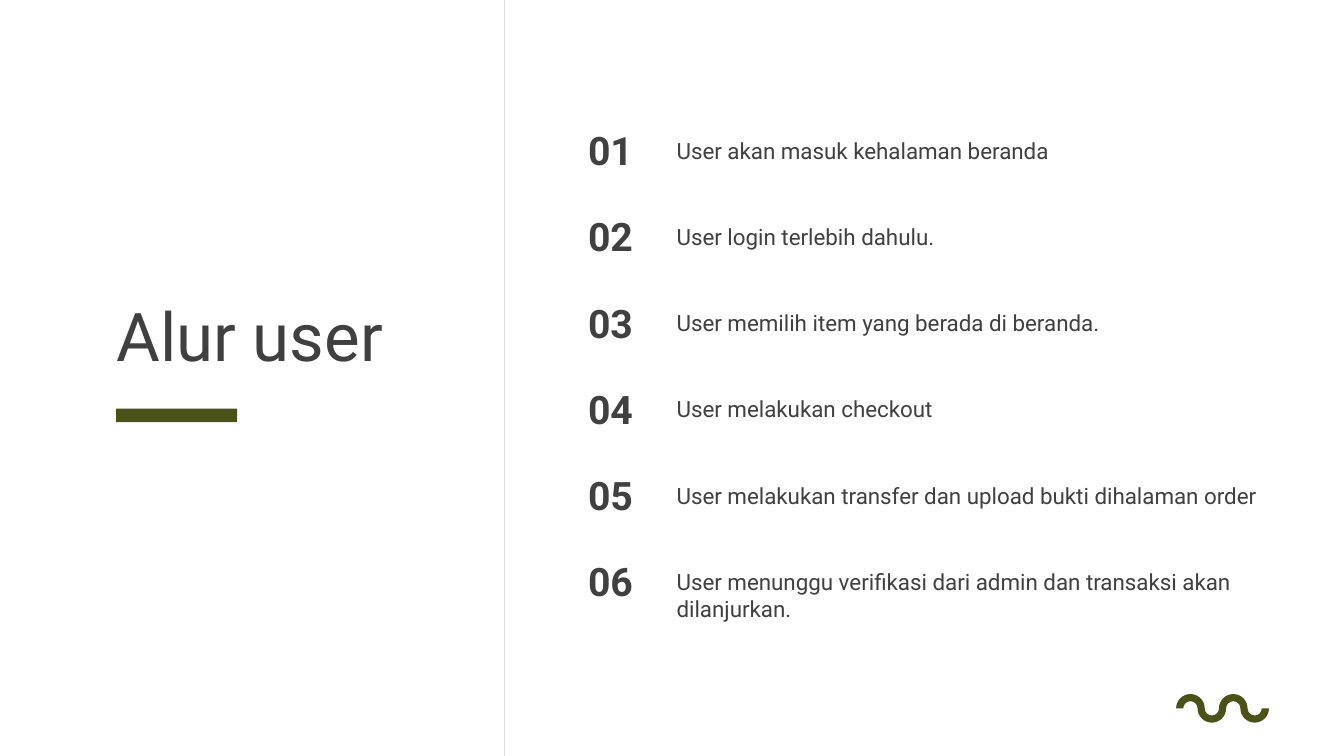
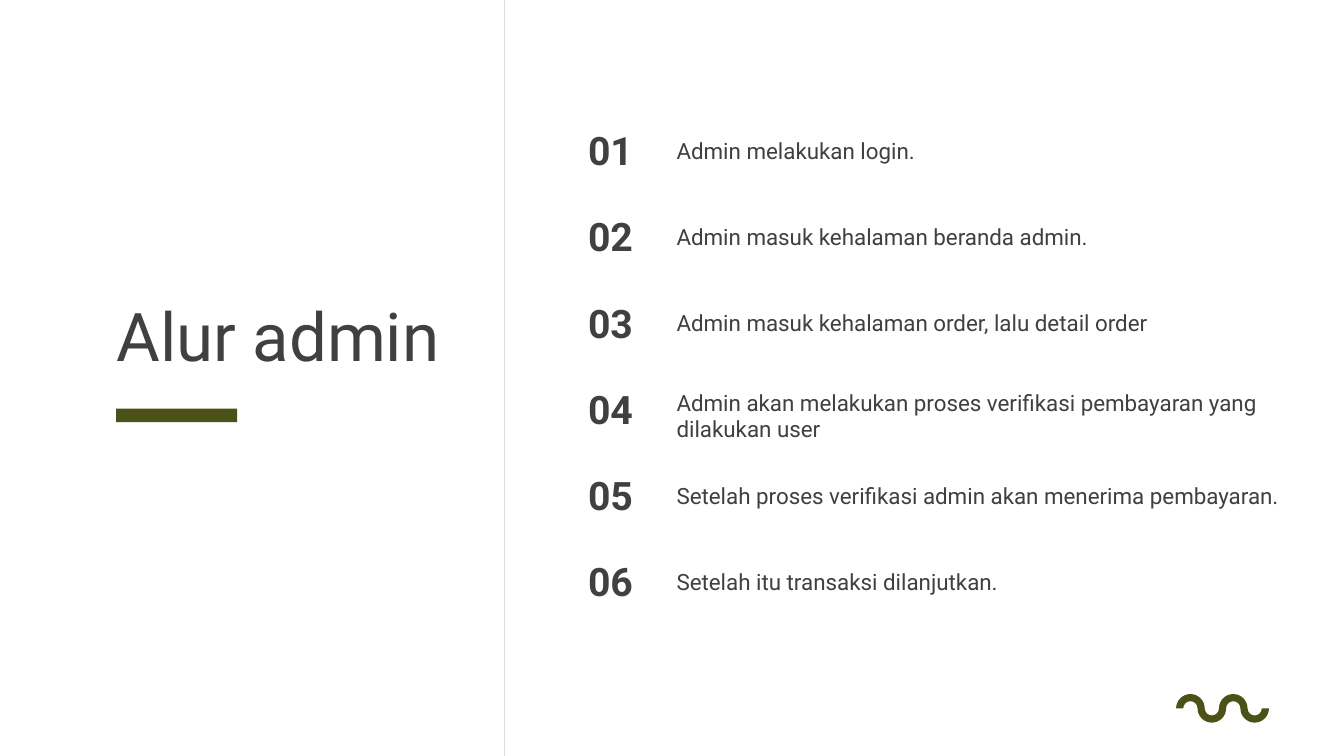
from dataclasses import dataclass

from lxml import etree
from pptx import Presentation
from pptx.dml.color import RGBColor
from pptx.enum.shapes import MSO_CONNECTOR, MSO_SHAPE
from pptx.enum.text import MSO_AUTO_SIZE
from pptx.oxml.ns import qn
from pptx.util import Cm, Pt

STRAIGHT = MSO_CONNECTOR.STRAIGHT
RECTANGLE = MSO_SHAPE.RECTANGLE
GROW = MSO_AUTO_SIZE.SHAPE_TO_FIT_TEXT

FONT = "Roboto"
TEXT = "404040"
OLIVE = "4B5117"
RULE = "DDDDDD"
WIDTH, HEIGHT = 33.87, 19.05
CIRCLE_HANDLE = 0.55


@dataclass
class Box:
    """Area of a slide, in centimetres."""
    left: float
    top: float
    width: float
    height: float


@dataclass
class Step:
    """Wording of one step, its line count and how far it is raised."""
    text: str
    lines: int = 1
    lift: float = 0


TITLE_PANEL = Box(2.93, 0, 9.79, HEIGHT)
STEP_LIST = Box(14.82, 3.19, 18.23, 13.03)
WAVE = Box(29.64, 17.49, 2.34, 0.72)

FLOWS = {
    "Alur user": [
        Step("User akan masuk kehalaman beranda"),
        Step("User login terlebih dahulu."),
        Step("User memilih item yang berada di beranda."),
        Step("User melakukan checkout"),
        Step("User melakukan transfer dan upload bukti dihalaman order"),
        Step("User menunggu verifikasi dari admin dan transaksi akan dilanjurkan.", lines=2),
    ],
    "Alur admin": [
        Step("Admin melakukan login."),
        Step("Admin masuk kehalaman beranda admin."),
        Step("Admin masuk kehalaman order, lalu detail order"),
        Step("Admin akan melakukan proses verifikasi pembayaran yang dilakukan user",
             lines=2, lift=0.17),
        Step("Setelah proses verifikasi admin akan menerima pembayaran."),
        Step("Setelah itu transaksi dilanjutkan."),
    ],
}


def color(hex_string):
    """Turn a hex string into a colour."""
    return RGBColor.from_string(hex_string)


def fill_plain(shape, hex_string):
    """Give a shape a flat fill without line or shadow."""
    shape.fill.solid()
    shape.fill.fore_color.rgb = color(hex_string)
    shape.line.fill.background()
    shape.shadow.inherit = False


def add_text(slide, box, text, size, bold=False):
    """Add a wrapping text box without margins."""
    shape = slide.shapes.add_textbox(Cm(box.left), Cm(box.top), Cm(box.width), Cm(box.height))
    frame = shape.text_frame
    frame.margin_left = frame.margin_top = frame.margin_right = frame.margin_bottom = 0
    frame.word_wrap = True
    frame.auto_size = GROW
    frame.text = text
    font = frame.paragraphs[0].runs[0].font
    font.name = FONT
    font.size = Pt(size)
    font.bold = bold
    font.color.rgb = color(TEXT)


def add_title_panel(slide, box, title):
    """Add the title, its accent bar and the dividing line at the right edge."""
    add_text(slide, Box(box.left, box.top + 7.42, box.width, 2.06), title, 48)
    bar = slide.shapes.add_shape(
        RECTANGLE, Cm(box.left), Cm(box.top + 10.3), Cm(3.05), Cm(0.34))
    fill_plain(bar, OLIVE)
    right = Cm(box.left + box.width)
    divider = slide.shapes.add_connector(
        STRAIGHT, right, Cm(box.top), right, Cm(box.top + box.height))
    divider.line.color.rgb = color(RULE)
    divider.line.width = Pt(1)
    etree.SubElement(divider._element.spPr, qn("a:effectLst"))


def add_step_list(slide, box, steps):
    """Add numbered steps in rows of equal height."""
    pitch = box.height / len(steps)
    indent = 2.23
    for index, step in enumerate(steps):
        top = box.top + index * pitch
        label = Box(box.left + indent, top + 0.26 - step.lift,
                    box.width - indent, 0.69 * step.lines)
        add_text(slide, label, step.text, 16)
        add_text(slide, Box(box.left, top, 1.57, 1.19), f"{index + 1:02d}", 28, bold=True)


def round_segments(shape, edge_length):
    """Bend the segments of both edges into quarter circles."""
    points = list(shape._element.iter(qn("a:pt")))
    for index, (start, end) in enumerate(zip(points, points[1:])):
        position = index % edge_length
        if position == edge_length - 1:
            continue
        joint, apex = (end, start) if position % 2 else (start, end)
        corner = {"x": int(joint.get("x")), "y": int(apex.get("y"))}
        segment = end.getparent()
        segment.tag = qn("a:cubicBezTo")
        for order, anchor in enumerate((start, end)):
            handle = {}
            for axis, target in corner.items():
                origin = int(anchor.get(axis))
                handle[axis] = str(round(origin + CIRCLE_HANDLE * (target - origin)))
            segment.insert(order, etree.Element(qn("a:pt"), handle))


def add_wave(slide, box):
    """Add a ribbon of four half rings, alternately arching up and down."""
    outer, inner, arches = box.height / 2, box.height / 4, 4
    middle = box.top + outer

    def edge(up_radius, down_radius):
        """List the joints and apexes along one edge from left to right."""
        x = box.left + outer - up_radius
        points = [(Cm(x), Cm(middle))]
        for arch in range(arches):
            radius, direction = (down_radius, 1) if arch % 2 else (up_radius, -1)
            points.append((Cm(x + radius), Cm(middle + direction * radius)))
            x += 2 * radius
            points.append((Cm(x), Cm(middle)))
        return points

    upper = edge(outer, inner)
    outline = upper + edge(inner, outer)[::-1]
    builder = slide.shapes.build_freeform(*outline[0])
    builder.add_line_segments(outline[1:], close=True)
    wave = builder.convert_to_shape()
    round_segments(wave, len(upper))
    fill_plain(wave, OLIVE)


def add_flow_slide(presentation, title, steps):
    """Add a slide with a title panel, a list of steps and the wave."""
    slide = presentation.slides.add_slide(presentation.slide_layouts[6])
    add_title_panel(slide, TITLE_PANEL, title)
    add_step_list(slide, STEP_LIST, steps)
    add_wave(slide, WAVE)


def main():
    """Build and save the presentation."""
    presentation = Presentation()
    presentation.slide_width = Cm(WIDTH)
    presentation.slide_height = Cm(HEIGHT)
    for title, steps in FLOWS.items():
        add_flow_slide(presentation, title, steps)
    presentation.save("out.pptx")


main()
